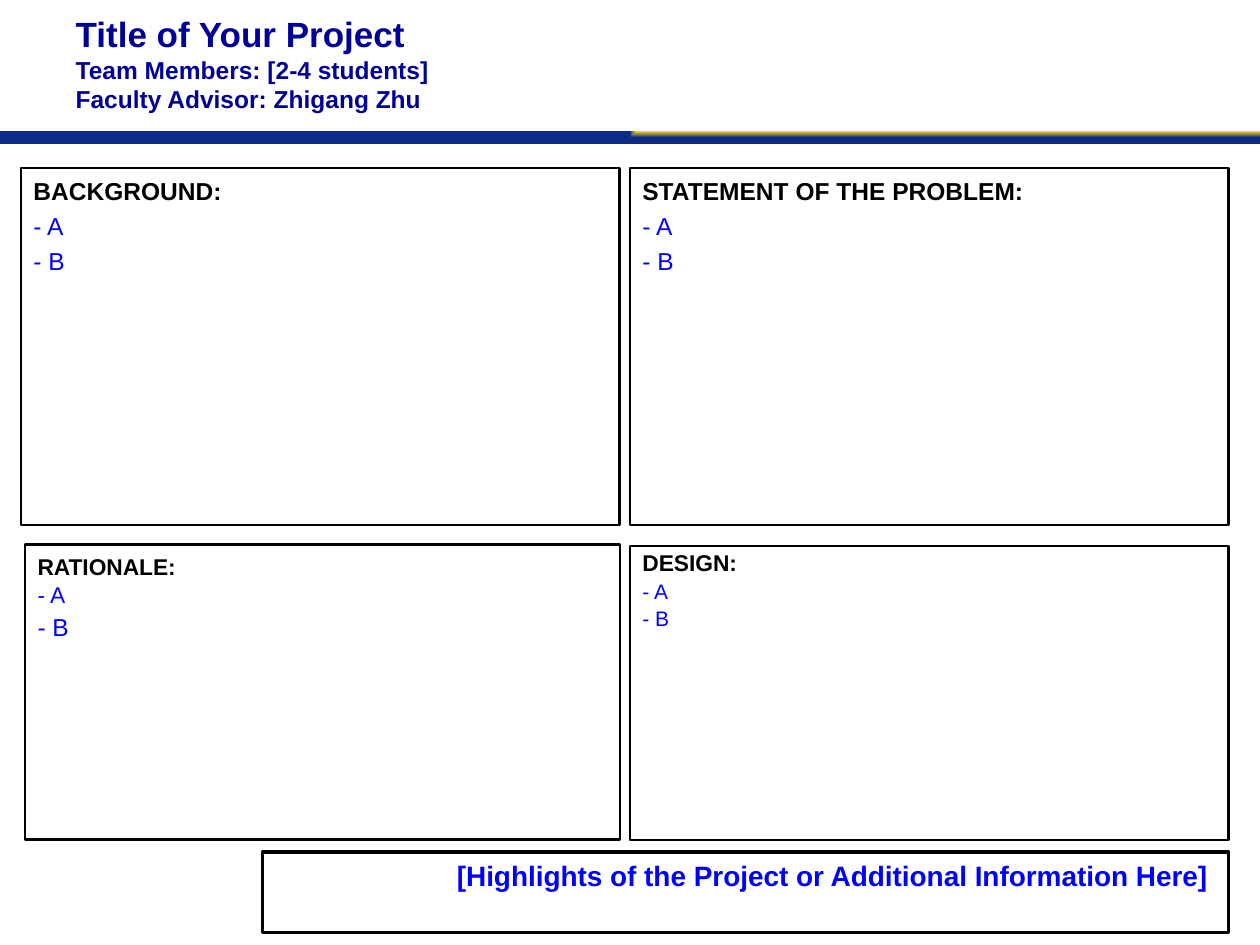
import pptx
import pptx.dml.color
import pptx.enum.shapes
import pptx.enum.text
import pptx.oxml
import pptx.oxml.ns
import pptx.util

Pt = pptx.util.Pt
RGBColor = pptx.dml.color.RGBColor
ALIGN = pptx.enum.text.PP_ALIGN
ANCHOR = pptx.enum.text.MSO_ANCHOR

NAVY = RGBColor(0x00, 0x00, 0x99)
BLUE = RGBColor(0x00, 0x00, 0xFF)
BLACK = RGBColor(0x00, 0x00, 0x00)
BAND_YELLOW = RGBColor(0xFE, 0xD9, 0x10)
BAND_BLUE = RGBColor(0x0D, 0x2B, 0x88)
FONT = "Arial"
TITLE_ONLY = 5


def style_font(font, size, color, bold):
    font.name = FONT
    font.size = Pt(size)
    font.color.rgb = color
    font.bold = bold


def add_rectangle(slide, left, top, width, height):
    shape = slide.shapes.add_shape(
        pptx.enum.shapes.MSO_SHAPE.RECTANGLE,
        Pt(left), Pt(top), Pt(width), Pt(height))
    shape.shadow.inherit = False
    return shape


def add_band(slide):
    band = add_rectangle(slide, 0, 75, 720, 7.2)
    band.line.fill.background()
    band.fill.gradient()
    for stop, color in zip(band.fill.gradient_stops, (BAND_YELLOW, BAND_BLUE)):
        stop.color.rgb = color
    gradient = band._element.spPr.find(pptx.oxml.ns.qn("a:gradFill"))
    direction = gradient.find(pptx.oxml.ns.qn("a:lin"))
    corner_path = pptx.oxml.parse_xml(
        f'<a:path {pptx.oxml.ns.nsdecls("a")} path="rect">'
        '<a:fillToRect l="100000" b="100000"/></a:path>')
    gradient.replace(direction, corner_path)


def fill_title(slide):
    title = slide.shapes.title
    title.left, title.top = Pt(36), Pt(-12)
    title.width, title.height = Pt(648), Pt(96)
    frame = title.text_frame
    frame.auto_size = pptx.enum.text.MSO_AUTO_SIZE.NONE
    frame.vertical_anchor = ANCHOR.MIDDLE
    paragraph = frame.paragraphs[0]
    paragraph.alignment = ALIGN.LEFT
    lines = [("Title of Your Project", 20),
             ("Team Members: [2-4 students]", 14),
             ("Faculty Advisor: Zhigang Zhu", 14)]
    for index, (text, size) in enumerate(lines):
        if index:
            paragraph.add_line_break()
        run = paragraph.add_run()
        run.text = text
        style_font(run.font, size, NAVY, True)


def add_outlined_box(slide, bounds, line_width, alignment=ALIGN.LEFT):
    box = add_rectangle(slide, *bounds)
    box.fill.background()
    box.line.color.rgb = BLACK
    box.line.width = Pt(line_width)
    frame = box.text_frame
    frame.word_wrap = True
    frame.vertical_anchor = ANCHOR.TOP
    frame.paragraphs[0].alignment = alignment
    return frame


def add_panel(slide, heading, bounds, sizes, before, after=0,
              heading_spacing=1.0, item_spacing=1.0, heading_after=0, inset=4.5):
    frame = add_outlined_box(slide, bounds, 1.5)
    frame.margin_top = Pt(inset)
    paragraph = frame.paragraphs[0]
    paragraph.text = heading
    paragraph.line_spacing = heading_spacing
    paragraph.space_after = Pt(heading_after)
    style_font(paragraph.font, sizes[0], BLACK, True)
    for text, size in zip(("- A", "- B"), sizes[1:]):
        paragraph = frame.add_paragraph()
        paragraph.text = text
        paragraph.alignment = ALIGN.LEFT
        paragraph.line_spacing = item_spacing
        paragraph.space_before = Pt(before)
        paragraph.space_after = Pt(after)
        style_font(paragraph.font, size, BLUE, False)


def add_highlights(slide):
    frame = add_outlined_box(slide, (150, 486.8, 552, 46), 2, ALIGN.RIGHT)
    paragraph = frame.paragraphs[0]
    paragraph.text = "[Highlights of the Project or Additional Information Here] "
    style_font(paragraph.font, 16, BLUE, True)


def main():
    presentation = pptx.Presentation()
    presentation.slide_width = Pt(720)
    presentation.slide_height = Pt(540)
    slide = presentation.slides.add_slide(presentation.slide_layouts[TITLE_ONLY])
    fill_title(slide)
    add_band(slide)
    add_panel(slide, "STATEMENT OF THE PROBLEM:", (360, 96, 342, 204),
              (14, 14, 14), before=3.3)
    add_panel(slide, "RATIONALE:", (14.4, 311.3, 340, 168.5),
              (13, 13, 14), before=2, after=2, item_spacing=0.9)
    add_panel(slide, "DESIGN:", (360, 312, 342, 168),
              (13, 12, 12), before=1.8, after=2, heading_spacing=0.9,
              item_spacing=0.8, heading_after=2, inset=3.6)
    add_highlights(slide)
    add_panel(slide, "BACKGROUND:", (12, 96, 342, 204),
              (14, 14, 14), before=3.3)
    presentation.save("out.pptx")


if __name__ == "__main__":
    main()
